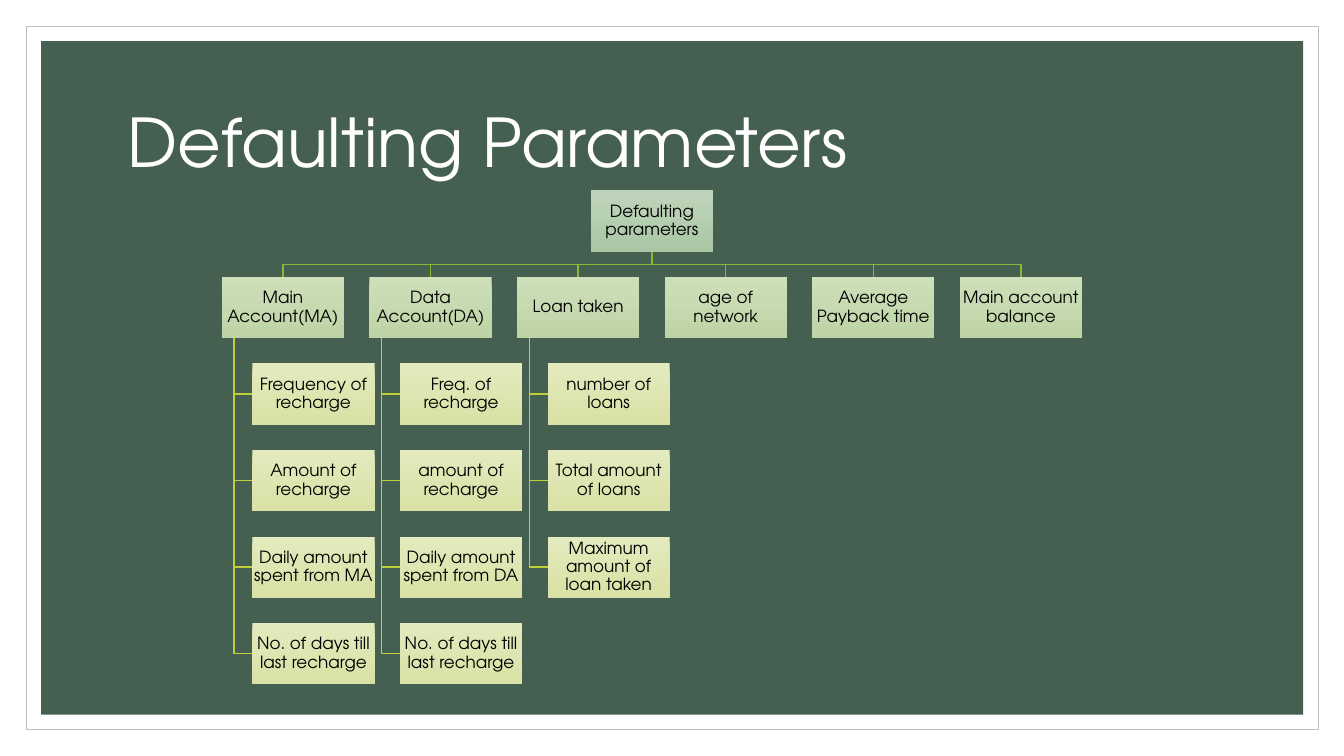
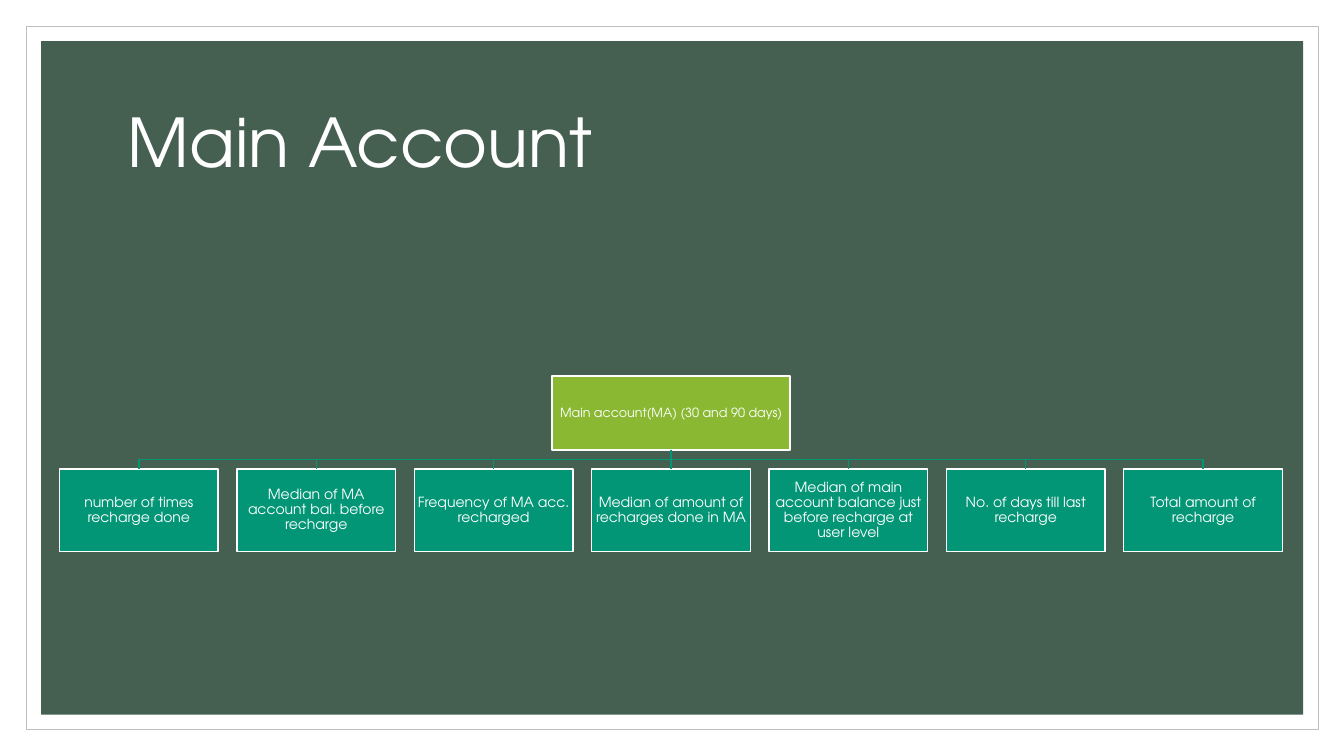
import lxml.etree
import pptx
import pptx.dml.color
import pptx.enum.shapes
import pptx.enum.text
import pptx.oxml.ns
import pptx.util

Cm = pptx.util.Cm
Pt = pptx.util.Pt
rgb = pptx.dml.color.RGBColor.from_string
FONT = "TeX Gyre Adventor"
WHITE, BLACK = "FFFFFF", "000000"
PANEL, FRAME_LINE = "455F51", "BFBFBF"
GREEN, LIME, TEAL = "8AB833", "C0CF3A", "029676"
ROOT_FILL = ("BED4BA", "ABC7A6")
GROUP_FILL = ("CEDFBA", "BED4A5")
LEAF_FILL = ("E3EABD", "D9E1A6")


def box(s, x, y, w, h, fill, line=None, line_width=1, text="", size=12, colour=WHITE):
    """Add a rectangle, placed in cm; fill is one colour or a (top, bottom) gradient."""
    sp = s.shapes.add_shape(pptx.enum.shapes.MSO_SHAPE.RECTANGLE, Cm(x), Cm(y), Cm(w), Cm(h))
    sp.shadow.inherit = False
    if isinstance(fill, tuple):
        sp.fill.gradient()
        sp.fill.gradient_angle = 270
        for stop, stop_colour in zip(sp.fill.gradient_stops, fill):
            stop.color.rgb = rgb(stop_colour)
    else:
        sp.fill.solid()
        sp.fill.fore_color.rgb = rgb(fill)
    if line:
        sp.line.color.rgb = rgb(line)
        sp.line.width = Pt(line_width)
    else:
        sp.line.fill.background()
    if text:
        tf = sp.text_frame
        tf.word_wrap = True
        tf.vertical_anchor = pptx.enum.text.MSO_ANCHOR.MIDDLE
        tf.margin_left = tf.margin_right = tf.margin_top = tf.margin_bottom = Cm(0.02)
        tf.text = text
        p = tf.paragraphs[0]
        p.alignment = pptx.enum.text.PP_ALIGN.CENTER
        p.line_spacing = 0.9
        p.font.name = FONT
        p.font.size = Pt(size)
        p.font.color.rgb = rgb(colour)
    return sp


def link(s, parent, child, colour, hanging=False):
    """Join parent to a child in the row below, or to one hanging from its left part."""
    x, y = parent.left + parent.width // 2, parent.top + parent.height
    child_x = child.left + child.width // 2
    if hanging:
        x = parent.left + parent.width // 10
        child_y = child.top + child.height // 2
        points = [(x, child_y), (child.left, child_y)]
    else:
        middle = (y + child.top) // 2
        points = [(x, middle), (child_x, middle), (child_x, child.top)]
    if not hanging and abs(x - child_x) < Cm(0.05):
        sp = s.shapes.add_connector(pptx.enum.shapes.MSO_CONNECTOR.STRAIGHT, x, y, x, child.top)
        sp.begin_connect(parent, 2)
        sp.end_connect(child, 0)
    else:
        builder = s.shapes.build_freeform(x, y)
        builder.add_line_segments(points, close=False)
        sp = builder.convert_to_shape()
        sp.fill.background()
    sp.line.color.rgb = rgb(colour)
    sp.line.width = Pt(1)
    lxml.etree.SubElement(sp._element.spPr, pptx.oxml.ns.qn("a:effectLst"))


prs = pptx.Presentation()
prs.slide_width, prs.slide_height = Cm(33.87), Cm(19.05)

# Frame, panel and title of every slide
slides = []
for title in ("Defaulting Parameters", "Main Account"):
    s = prs.slides.add_slide(prs.slide_layouts[6])
    box(s, 0.66, 0.66, 32.56, 17.73, WHITE, FRAME_LINE, 0.5)
    box(s, 1.04, 1.04, 31.8, 16.97, PANEL)
    tf = s.shapes.add_textbox(Cm(2.97), Cm(1.78), Cm(27.94), Cm(3.81)).text_frame
    tf.word_wrap = True
    tf.vertical_anchor = pptx.enum.text.MSO_ANCHOR.MIDDLE
    tf.text = title
    p = tf.paragraphs[0]
    p.line_spacing = 0.9
    p.font.name = FONT
    p.font.size = Pt(48)
    p.font.color.rgb = rgb(WHITE)
    slides.append(s)

# Slide 1: parameter tree
s = slides[0]
groups = [
    ("Main Account(MA)", ["Frequency of recharge", "Amount of recharge",
                          "Daily amount spent from MA", "No. of days till last recharge"]),
    ("Data Account(DA)", ["Freq. of recharge", "amount of recharge",
                          "Daily amount spent from DA", "No. of days till last recharge"]),
    ("Loan taken", ["number of loans", "Total amount of loans", "Maximum amount of loan taken"]),
    ("age of network", []),
    ("Average Payback time", []),
    ("Main account balance", []),
]
left, top, w, h = 5.59, 4.8, 3.08, 1.54
column_step, row_step, leaf_indent = 3.72, 2.18, 0.77
root_x = left + column_step * (len(groups) - 1) / 2
root = box(s, root_x, top, w, h, ROOT_FILL, text="Defaulting parameters", colour=BLACK)
for i, (name, leaves) in enumerate(groups):
    x = left + i * column_step
    group = box(s, x, top + row_step, w, h, GROUP_FILL, text=name, colour=BLACK)
    link(s, root, group, GREEN)
    for row, leaf_name in enumerate(leaves, 2):
        leaf = box(s, x + leaf_indent, top + row * row_step, w, h, LEAF_FILL,
                   text=leaf_name, colour=BLACK)
        link(s, group, leaf, LIME, hanging=True)

# Slide 2: main account measures
s = slides[1]
measures = [
    "number of times recharge done",
    "Median of MA account bal. before recharge",
    "Frequency of MA acc. recharged",
    "Median of amount of recharges done in MA",
    "Median of main account balance just before recharge at user level",
    "No. of days till last recharge",
    "Total amount of recharge",
]
root = box(s, 13.91, 9.48, 6, 1.86, GREEN, WHITE,
           text="Main account(MA) (30 and 90 days)", size=9)
for i, name in enumerate(measures):
    measure = box(s, 1.5 + i * 4.47, 11.82, 4, 2.08, TEAL, WHITE, text=name, size=10)
    link(s, root, measure, TEAL)

prs.save("out.pptx")
